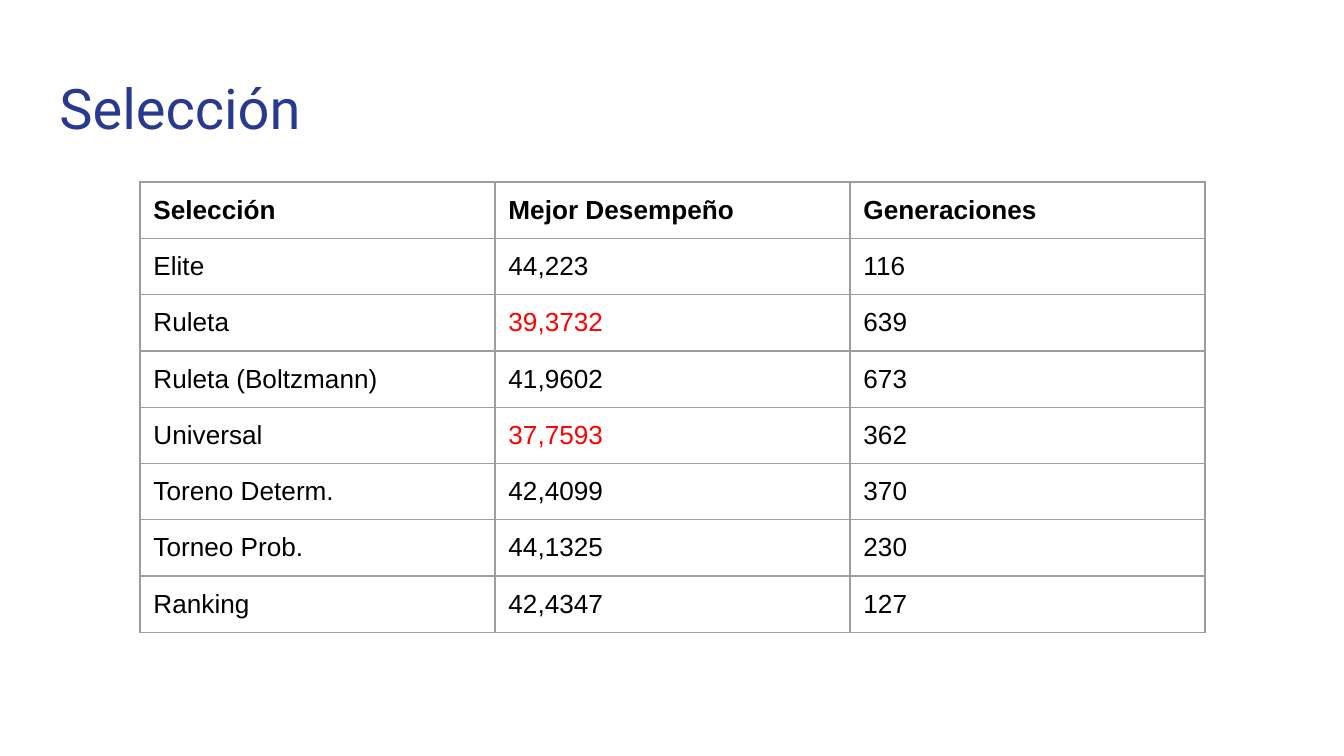
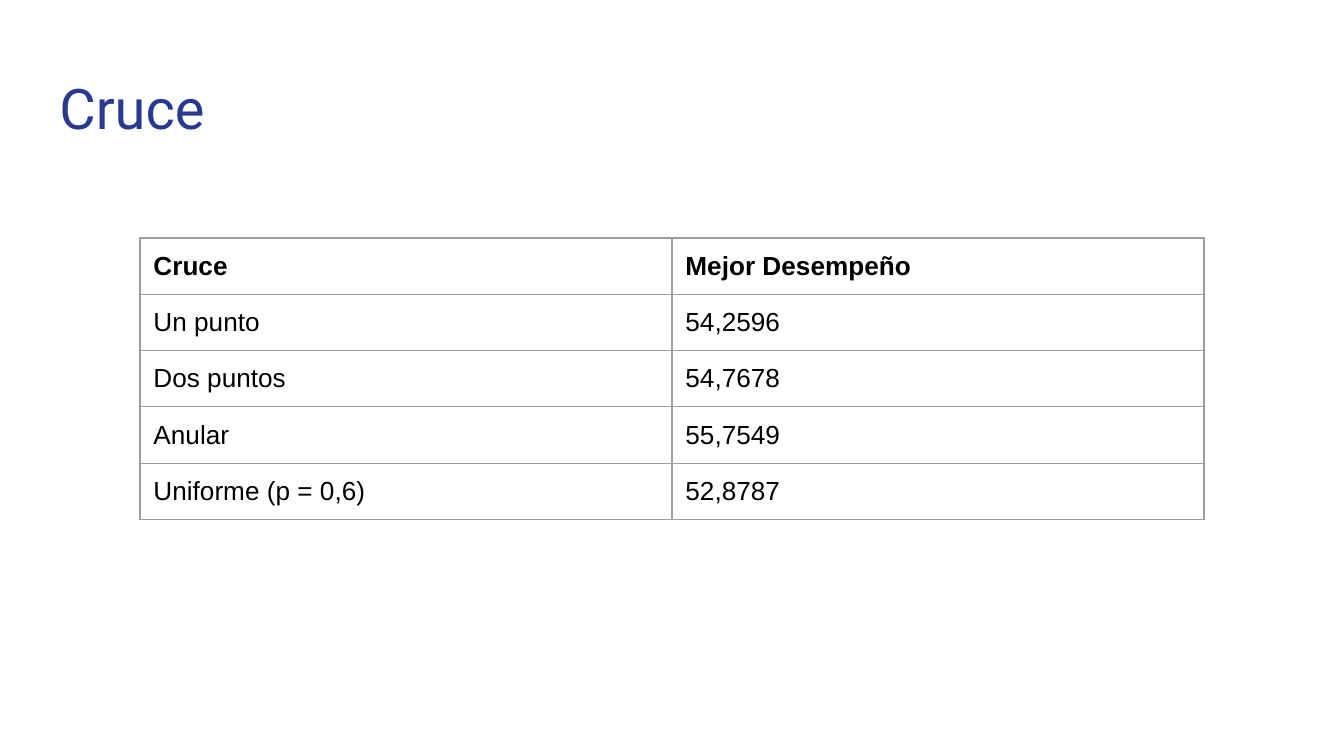
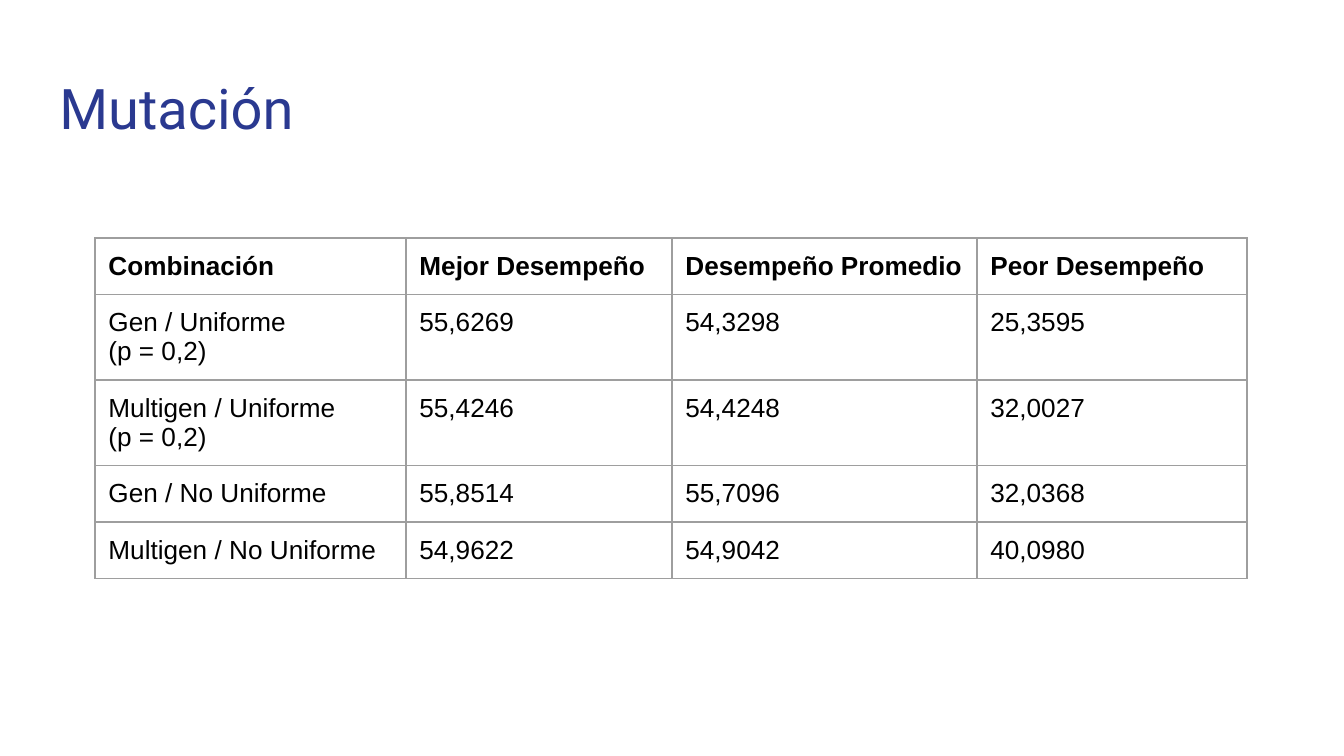
import pptx
import pptx.util
import pptx.dml.color
import pptx.enum.text
import pptx.oxml
import pptx.oxml.ns

RGBColor = pptx.dml.color.RGBColor
NAVY = RGBColor(0x2A, 0x39, 0x90)
BLACK = RGBColor(0x00, 0x00, 0x00)
RED = RGBColor(0xFF, 0x00, 0x00)
GREY = RGBColor(0x9E, 0x9E, 0x9E)
WHITE = RGBColor(0xFF, 0xFF, 0xFF)

# Content: the first row of each table is its header
SLIDES = [
    {
        "title": "Selección",
        "left": 140, "top": 182, "columns": [355, 355, 355],
        "highlights": {"39,3732", "37,7593"},
        "rows": [
            ("Selección", "Mejor Desempeño", "Generaciones"),
            ("Elite", "44,223", "116"),
            ("Ruleta", "39,3732", "639"),
            ("Ruleta (Boltzmann)", "41,9602", "673"),
            ("Universal", "37,7593", "362"),
            ("Toreno Determ.", "42,4099", "370"),
            ("Torneo Prob.", "44,1325", "230"),
            ("Ranking", "42,4347", "127"),
        ],
    },
    {
        "title": "Cruce",
        "left": 140, "top": 238, "columns": [532, 532],
        "highlights": set(),
        "rows": [
            ("Cruce", "Mejor Desempeño"),
            ("Un punto", "54,2596"),
            ("Dos puntos", "54,7678"),
            ("Anular", "55,7549"),
            ("Uniforme (p = 0,6)", "52,8787"),
        ],
    },
    {
        "title": "Mutación",
        "left": 95, "top": 238, "columns": [311, 266, 305, 270],
        "highlights": set(),
        "rows": [
            ("Combinación", "Mejor Desempeño", "Desempeño Promedio", "Peor Desempeño"),
            ("Gen / Uniforme\n(p = 0,2)", "55,6269", "54,3298", "25,3595"),
            ("Multigen / Uniforme\n(p = 0,2)", "55,4246", "54,4248", "32,0027"),
            ("Gen / No Uniforme", "55,8514", "55,7096", "32,0368"),
            ("Multigen / No Uniforme", "54,9622", "54,9042", "40,0980"),
        ],
    },
]

# Shared measures
SLIDE_SIZE = (1344, 756)
TITLE_BOX = (46, 60, 1252, 89)
ROW_HEIGHT = 56
INSET = pptx.util.Inches(0.1)
BORDER = pptx.util.Pt(0.75)


def px(length):
    return pptx.util.Emu(round(length * 914400 / 134.4))


def style_paragraph(paragraph, font, size, color, bold=False):
    paragraph.font.name = font
    paragraph.font.size = pptx.util.Pt(size)
    paragraph.font.color.rgb = color
    paragraph.font.bold = bold


def set_insets(holder):
    holder.margin_left = holder.margin_right = INSET
    holder.margin_top = holder.margin_bottom = INSET


def add_title(slide, text):
    title = slide.shapes.title
    title.left, title.top, title.width, title.height = map(px, TITLE_BOX)
    frame = title.text_frame
    frame.text = text
    frame.word_wrap = True
    frame.auto_size = pptx.enum.text.MSO_AUTO_SIZE.NONE
    frame.vertical_anchor = pptx.enum.text.MSO_ANCHOR.TOP
    set_insets(frame)
    heading = frame.paragraphs[0]
    heading.alignment = pptx.enum.text.PP_ALIGN.LEFT
    style_paragraph(heading, "Roboto", 30, NAVY)


def add_borders(cell):
    properties = cell._tc.get_or_add_tcPr()
    # Border lines must come before the fill
    for position, side in enumerate(("lnL", "lnR", "lnT", "lnB")):
        properties.insert(position, pptx.oxml.parse_xml(
            f'<a:{side} {pptx.oxml.ns.nsdecls("a")} w="{BORDER}">'
            f'<a:solidFill><a:srgbClr val="{GREY}"/></a:solidFill></a:{side}>'))


def add_results(slide, content):
    rows, columns = content["rows"], content["columns"]
    results = slide.shapes.add_table(
        len(rows), len(columns), px(content["left"]), px(content["top"]),
        px(sum(columns)), px(ROW_HEIGHT * len(rows))).table
    results.first_row = results.horz_banding = False
    for column, width in zip(results.columns, columns):
        column.width = px(width)
    for r, values in enumerate(rows):
        results.rows[r].height = px(ROW_HEIGHT)
        for c, value in enumerate(values):
            cell = results.cell(r, c)
            cell.text = value
            cell.fill.background()
            set_insets(cell)
            add_borders(cell)
            color = RED if value in content["highlights"] else BLACK
            for paragraph in cell.text_frame.paragraphs:
                style_paragraph(paragraph, "Arial", 14, color, bold=r == 0)


def main():
    deck = pptx.Presentation()
    deck.slide_width, deck.slide_height = map(px, SLIDE_SIZE)
    deck.slide_master.background.fill.solid()
    deck.slide_master.background.fill.fore_color.rgb = WHITE
    title_only = deck.slide_layouts[5]
    for content in SLIDES:
        slide = deck.slides.add_slide(title_only)
        add_title(slide, content["title"])
        add_results(slide, content)
    deck.save("out.pptx")


if __name__ == "__main__":
    main()
